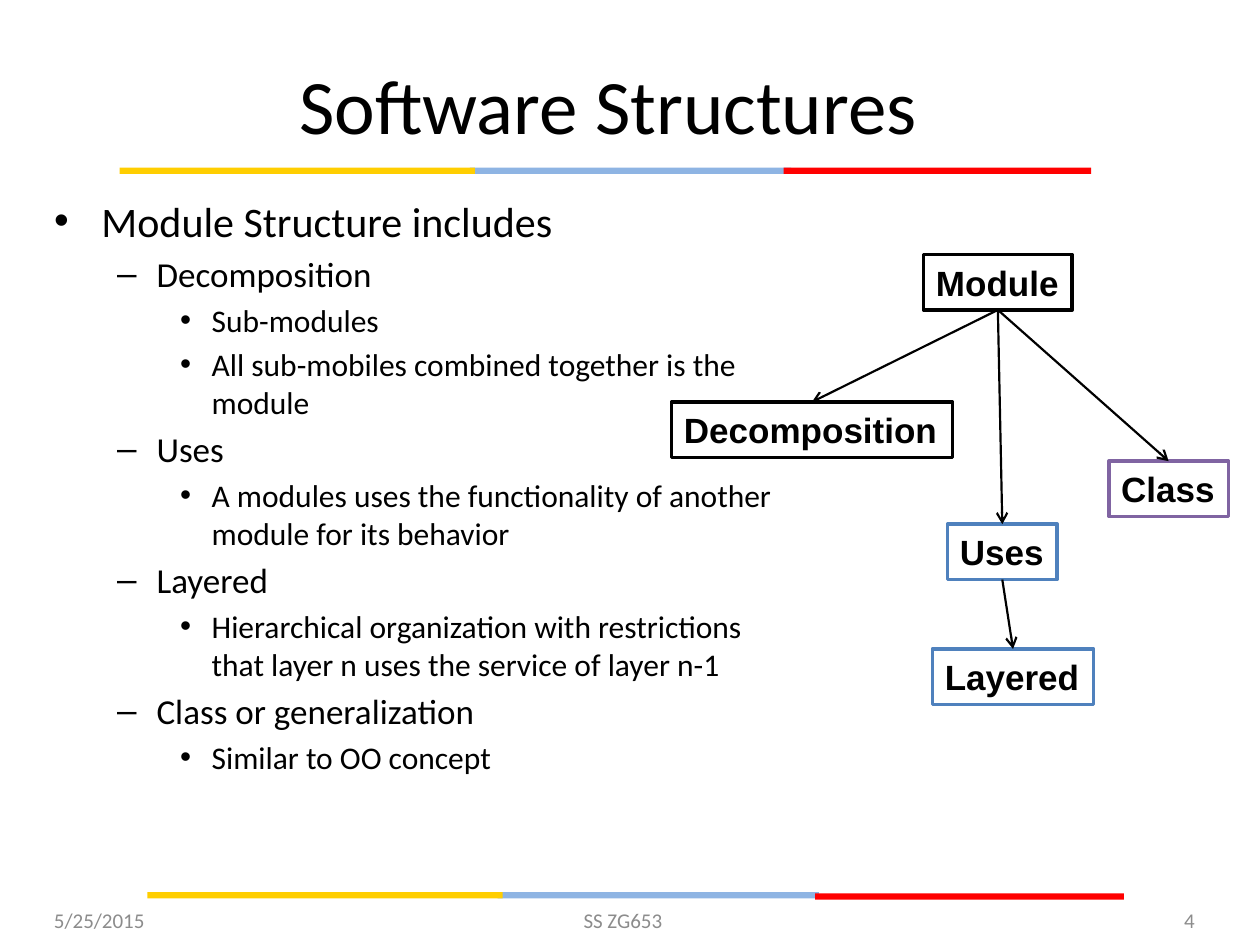
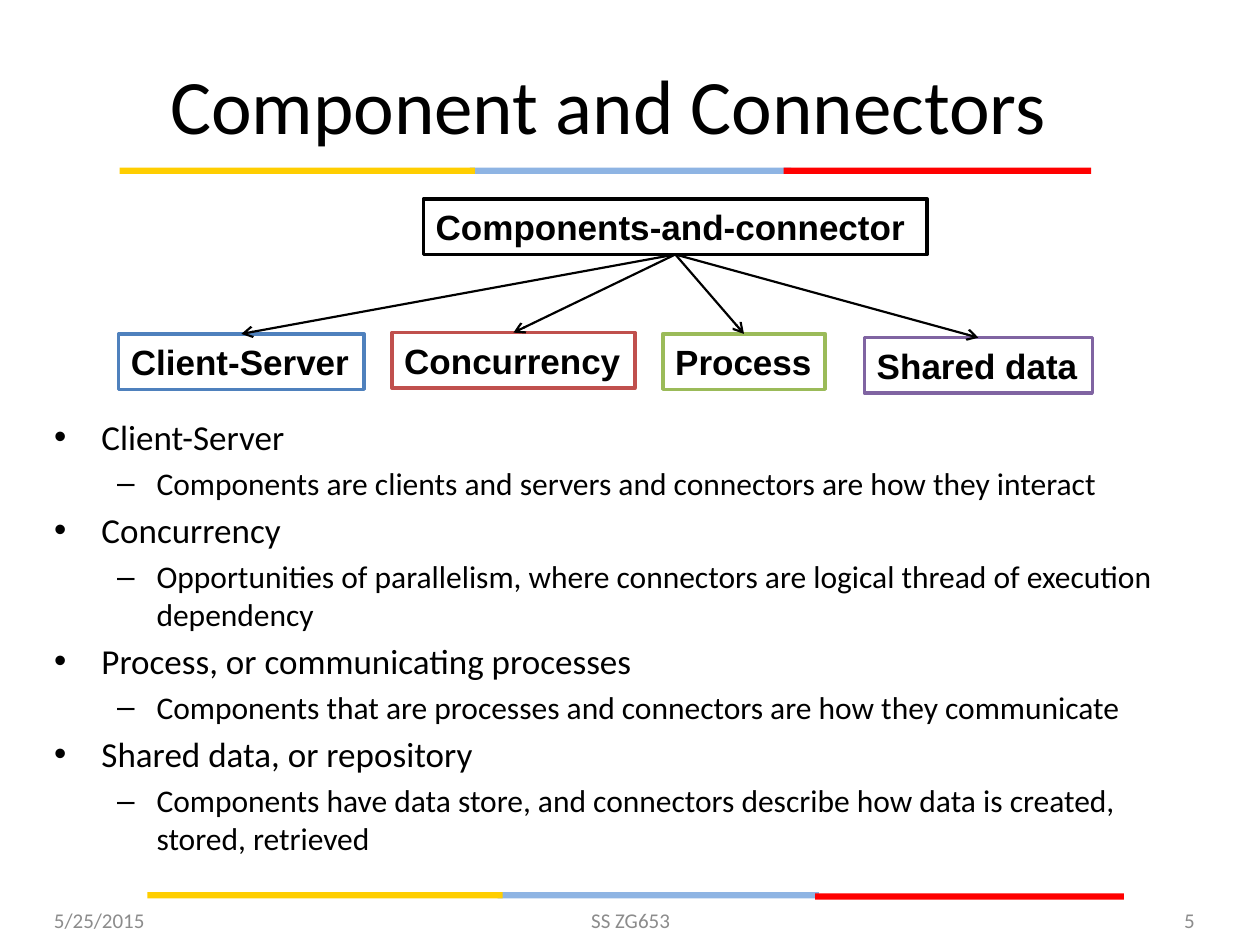
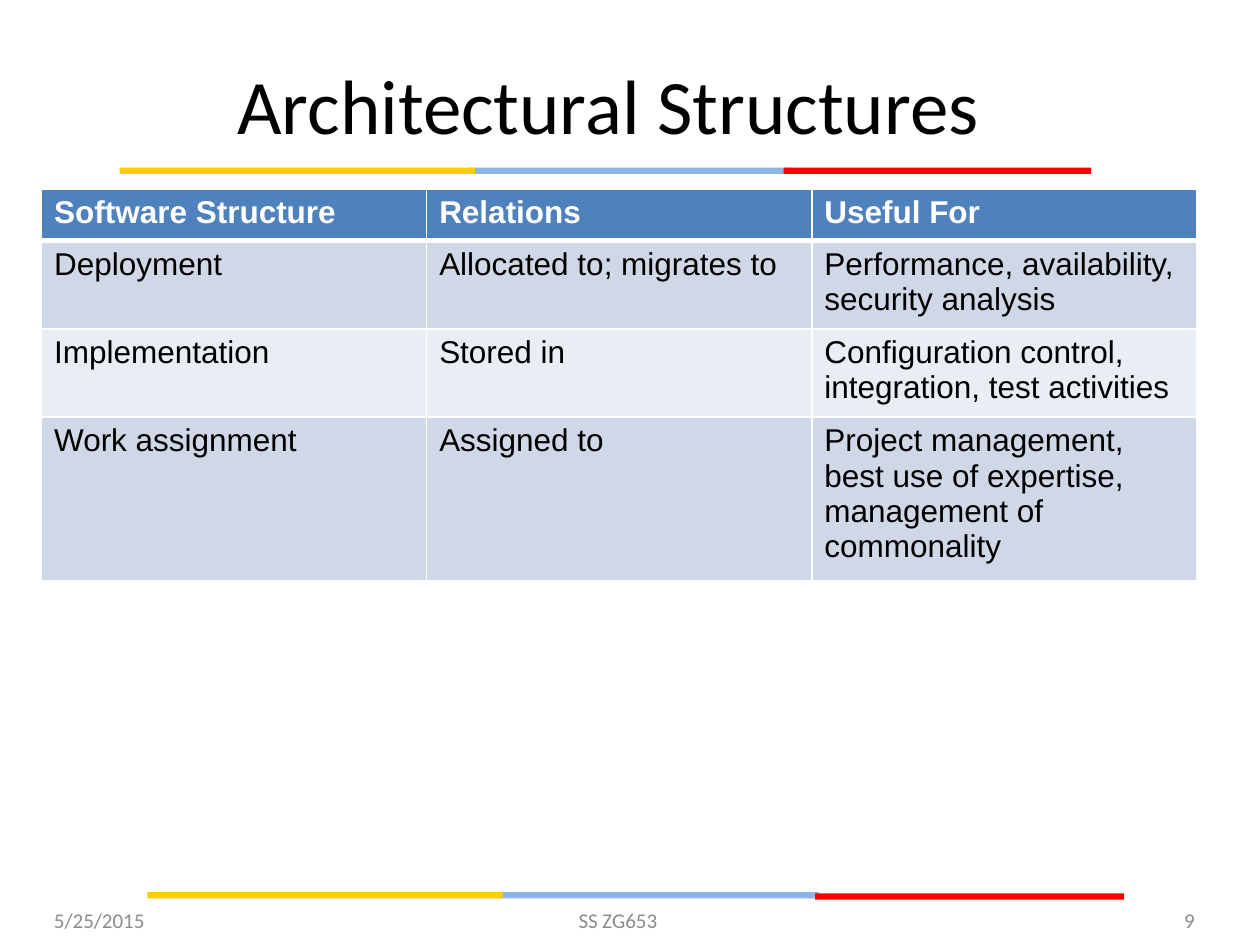
"""Build three slides on software structures, with shared bands, titles and footers."""
from lxml import etree
from pptx import Presentation
from pptx.dml.color import RGBColor
from pptx.enum import shapes, text
from pptx.oxml.ns import qn
from pptx.util import Inches, Pt

COLORS = {
    "black": "000000", "white": "FFFFFF", "gray": "8C8C8C",
    "yellow": "FFCE00", "sky": "8EB4E3", "red": "FF0000",
    "blue": "4F81BD", "brick": "C0504D", "green": "9BBB59", "purple": "8064A2",
    "row_dark": "D0D8E8", "row_light": "E9EDF4",
}

BANDS = [
    ("sky", 3.73, 1.33, 2.55), ("red", 6.22, 1.33, 2.44), ("yellow", 0.95, 1.33, 2.82),
    ("sky", 3.95, 7.08, 2.55), ("red", 6.47, 7.09, 2.45), ("yellow", 1.17, 7.08, 2.82),
]
BAND_HEIGHT = 0.05
TITLE_AREA = (0.33, 0.31, 9, 1.03)
NODE_HEIGHT = 0.44
DATE = "5/25/2015"
COURSE = "SS ZG653"

SLIDES = [
    {
        "title": "Software Structures",
        "number": "4",
        "course_inset": 0.22,
        "body_area": (0.33, 1.5, 6.08, 5.5),
        "level_sizes": (24, 20, 18),
        "body": [
            (0, "Module Structure includes"),
            (1, "Decomposition"),
            (2, "Sub-modules"),
            (2, "All sub-mobiles combined together is the module"),
            (1, "Uses"),
            (2, "A modules uses the functionality of another module for its behavior"),
            (1, "Layered"),
            (2, "Hierarchical organization with restrictions that layer n uses "
                "the service of layer n-1"),
            (1, "Class or generalization"),
            (2, "Similar to OO concept"),
        ],
        "nodes": [
            ("Module", 7.33, 2.02, 1.18, "black"),
            ("Decomposition", 5.33, 3.19, 2.23, "black"),
            ("Uses", 7.52, 4.16, 0.87, "blue"),
            ("Layered", 7.4, 5.15, 1.28, "blue"),
            ("Class", 8.8, 3.66, 0.95, "purple"),
        ],
        "arrows": [
            ("Module", "Decomposition"), ("Module", "Uses"),
            ("Uses", "Layered"), ("Module", "Class"),
        ],
    },
    {
        "title": "Component and Connectors",
        "number": "5",
        "course_inset": 0.1,
        "body_area": (0.33, 3.25, 9.08, 3.75),
        "level_sizes": (20, 18),
        "body": [
            (0, "Client-Server"),
            (1, "Components are clients and servers and connectors are how they interact"),
            (0, "Concurrency"),
            (1, "Opportunities of parallelism, where connectors are logical thread "
                "of execution dependency"),
            (0, "Process, or communicating processes"),
            (1, "Components that are processes and connectors are how they communicate"),
            (0, "Shared data, or repository"),
            (1, "Components have data store, and connectors describe how data is "
                "created, stored, retrieved"),
        ],
        "nodes": [
            ("Components-and-connector", 3.36, 1.58, 4, "black"),
            ("Client-Server", 0.94, 2.65, 1.95, "blue"),
            ("Concurrency", 3.11, 2.64, 1.93, "brick"),
            ("Shared data", 6.86, 2.68, 1.81, "purple"),
            ("Process", 5.26, 2.65, 1.29, "green"),
        ],
        "arrows": [
            ("Components-and-connector", kind)
            for kind in ("Client-Server", "Concurrency", "Shared data", "Process")
        ],
    },
    {
        "title": "Architectural Structures",
        "number": "9",
        "course_inset": 0.3,
        "table_area": (0.33, 1.5, 9.17, 3.11),
        "row_heights": (0.41, 0.7, 0.7, 1.3),
        "table": [
            ("Software Structure", "Relations", "Useful For"),
            ("Deployment", "Allocated to; migrates to",
             "Performance, availability, security analysis"),
            ("Implementation", "Stored in",
             "Configuration control, integration, test activities"),
            ("Work assignment", "Assigned to",
             "Project management, best use of expertise, management of commonality"),
        ],
    },
]


def rgb(color):
    return RGBColor.from_string(COLORS[color])


def inches(area):
    return [Inches(length) for length in area]


def place(holder, area):
    holder.left, holder.top, holder.width, holder.height = inches(area)


def add_run(paragraph, words, size, font="Calibri", color="black", bold=False):
    run = paragraph.add_run()
    run.text = words
    run.font.size = Pt(size)
    run.font.name = font
    run.font.bold = bold
    run.font.color.rgb = rgb(color)


def add_box(slide, area, fill):
    box = slide.shapes.add_shape(shapes.MSO_SHAPE.RECTANGLE, *inches(area))
    box.shadow.inherit = False
    box.fill.solid()
    box.fill.fore_color.rgb = rgb(fill)
    return box


def add_bands(slide):
    for color, left, top, width in BANDS:
        add_box(slide, (left, top, width, BAND_HEIGHT), color).line.fill.background()


def add_title(slide, words):
    place(slide.shapes.title, TITLE_AREA)
    frame = slide.shapes.title.text_frame
    frame.auto_size = text.MSO_AUTO_SIZE.NONE
    frame.vertical_anchor = text.MSO_ANCHOR.MIDDLE
    frame.paragraphs[0].alignment = text.PP_ALIGN.CENTER
    add_run(frame.paragraphs[0], words, 44)


def add_body(slide, content):
    body = slide.placeholders[1]
    place(body, content["body_area"])
    frame = body.text_frame
    frame.auto_size = text.MSO_AUTO_SIZE.NONE
    for index, (level, words) in enumerate(content["body"]):
        paragraph = frame.add_paragraph() if index else frame.paragraphs[0]
        paragraph.level = level
        add_run(paragraph, words, content["level_sizes"][level])
    frame.paragraphs[0].space_before = Pt(0)


def add_node(slide, label, left, top, width, outline):
    node = add_box(slide, (left, top, width, NODE_HEIGHT), "white")
    node.line.color.rgb = rgb(outline)
    node.line.width = Pt(2)
    frame = node.text_frame
    frame.word_wrap = True
    frame.margin_right = 0
    frame.vertical_anchor = text.MSO_ANCHOR.MIDDLE
    frame.paragraphs[0].alignment = text.PP_ALIGN.LEFT
    add_run(frame.paragraphs[0], label, 20, "Arial", bold=True)
    return node


def add_arrow(slide, parent, child):
    arrow = slide.shapes.add_connector(shapes.MSO_CONNECTOR.STRAIGHT, 0, 0, 0, 0)
    arrow.begin_connect(parent, 2)
    arrow.end_connect(child, 0)
    arrow.line.color.rgb = rgb("black")
    arrow.line.width = Pt(1.25)
    properties = arrow.element.spPr
    etree.SubElement(properties.find(qn("a:ln")), qn("a:tailEnd"), type="arrow")
    etree.SubElement(properties, qn("a:effectLst"))


def add_diagram(slide, content):
    nodes = {node[0]: add_node(slide, *node) for node in content["nodes"]}
    for parent, child in content["arrows"]:
        add_arrow(slide, nodes[parent], nodes[child])


def add_border(cell, side, width):
    border = etree.SubElement(cell._tc.get_or_add_tcPr(), qn(f"a:ln{side}"), w=str(Pt(width)))
    fill = etree.SubElement(border, qn("a:solidFill"))
    etree.SubElement(fill, qn("a:srgbClr"), val=COLORS["white"])


def add_structure_table(slide, content):
    rows = content["table"]
    table = slide.shapes.add_table(
        len(rows), len(rows[0]), *inches(content["table_area"])).table
    for row, height in zip(table.rows, content["row_heights"]):
        row.height = Inches(height)
    for r, row in enumerate(rows):
        header = r == 0
        fill = "blue" if header else ("row_light", "row_dark")[r % 2]
        for c, words in enumerate(row):
            cell = table.cell(r, c)
            for side in "LRTB":
                thick = (side == "B" and header) or (side == "T" and r == 1)
                add_border(cell, side, 3 if thick else 1)
            cell.fill.solid()
            cell.fill.fore_color.rgb = rgb(fill)
            add_run(cell.text_frame.paragraphs[0], words, 18, "Arial",
                    "white" if header else "black", header)


def add_footer(slide, content):
    align = text.PP_ALIGN
    for words, left, width, alignment, inset in (
        (DATE, 0.33, 2.33, align.LEFT, 0.1),
        (COURSE, 3.42, 3.17, align.CENTER, content["course_inset"]),
        (content["number"], 7.25, 2.33, align.RIGHT, 0.1),
    ):
        frame = slide.shapes.add_textbox(*inches((left, 7.1, width, 0.4))).text_frame
        frame.word_wrap = True
        frame.margin_right = Inches(inset)
        frame.vertical_anchor = text.MSO_ANCHOR.MIDDLE
        frame.paragraphs[0].alignment = alignment
        add_run(frame.paragraphs[0], words, 12, color="gray")


def main():
    deck = Presentation()
    deck.slide_width, deck.slide_height = Inches(10), Inches(7.5)
    for content in SLIDES:
        layout = deck.slide_layouts[1 if "body" in content else 5]
        slide = deck.slides.add_slide(layout)
        add_bands(slide)
        add_title(slide, content["title"])
        if "body" in content:
            add_body(slide, content)
            add_diagram(slide, content)
        else:
            add_structure_table(slide, content)
        add_footer(slide, content)
    deck.save("out.pptx")


if __name__ == "__main__":
    main()
